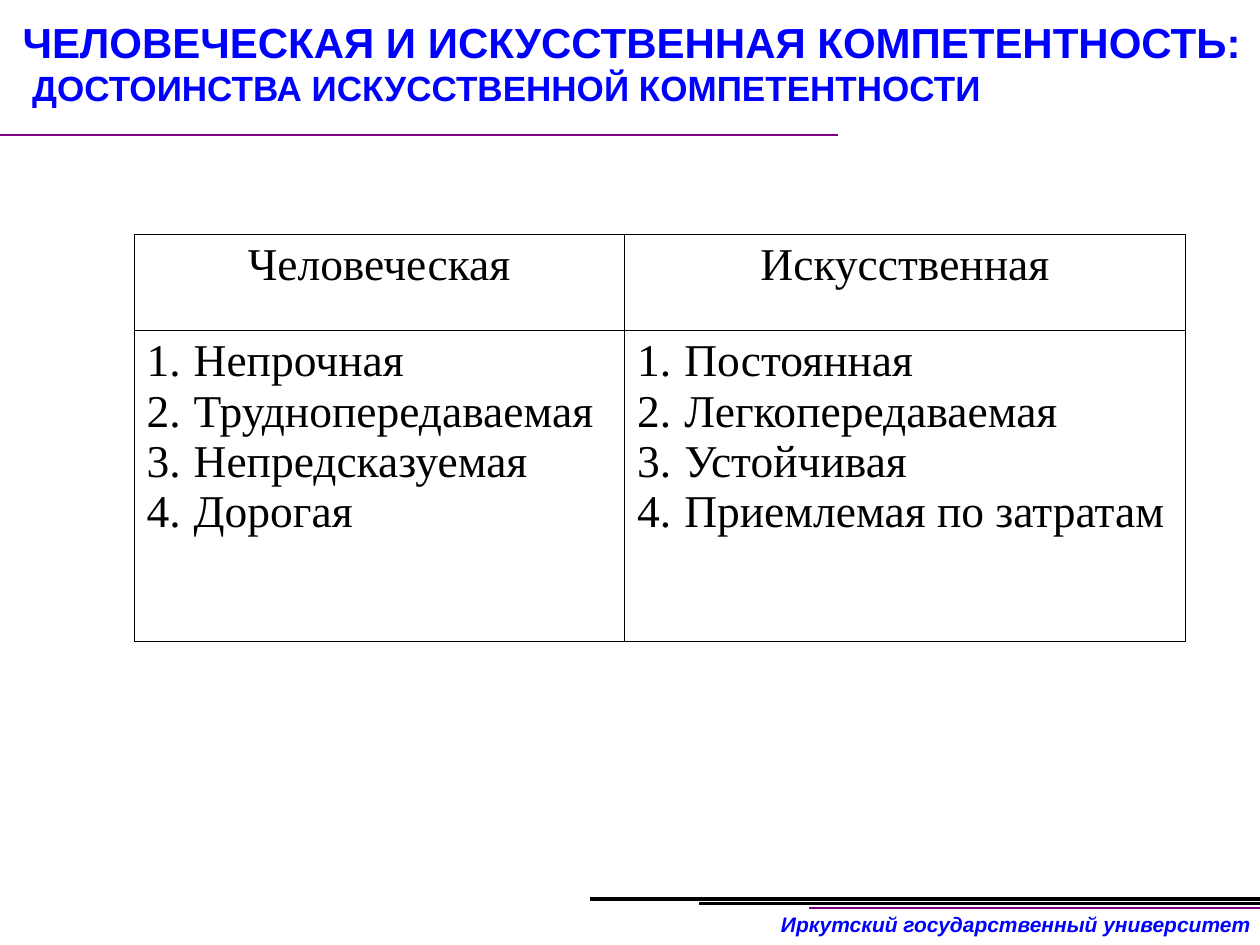
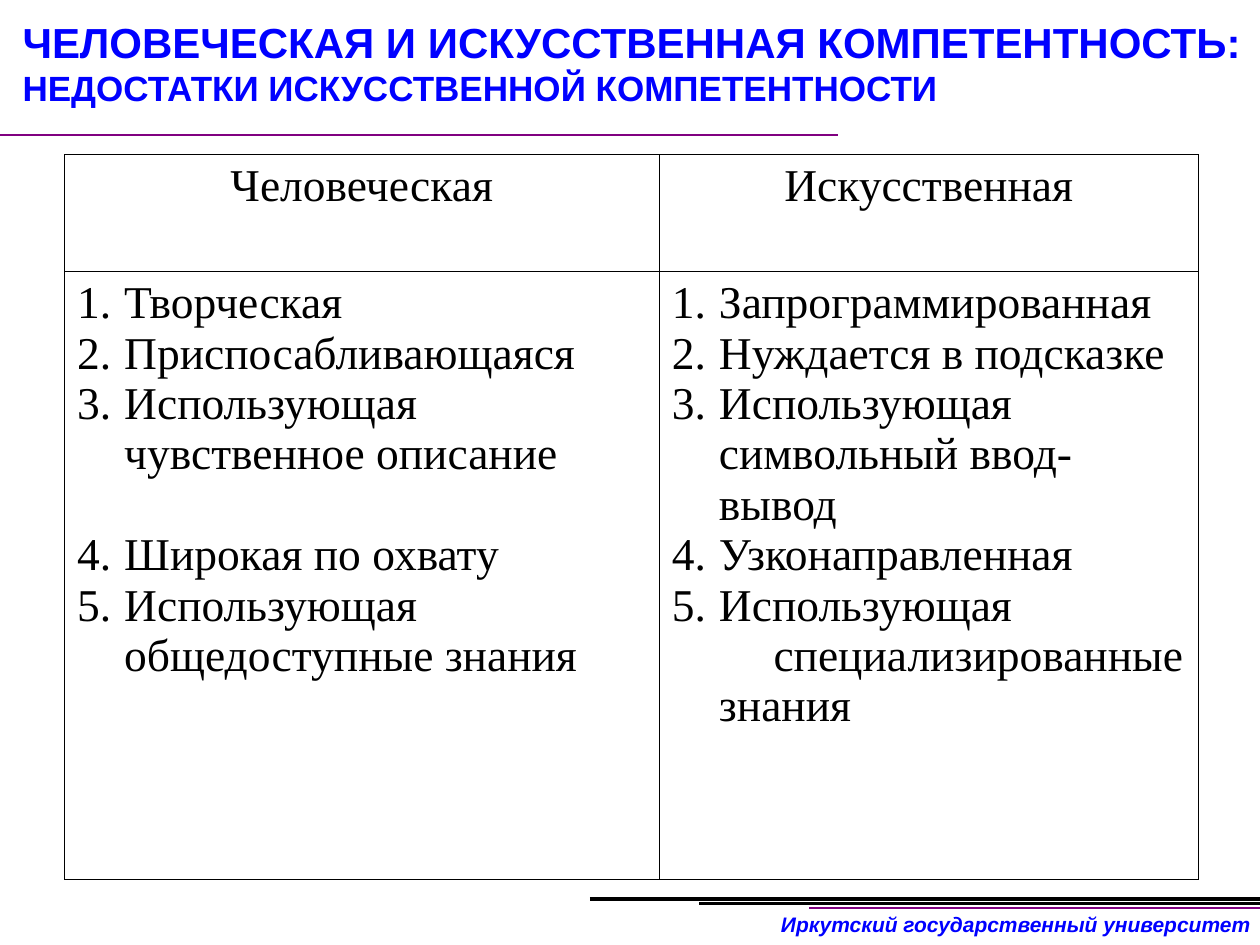
from typing import NamedTuple

from lxml.etree import SubElement
from pptx import Presentation
from pptx.dml.color import RGBColor
from pptx.enum.shapes import MSO_CONNECTOR as Connector
from pptx.enum.text import MSO_ANCHOR as Anchor, MSO_AUTO_SIZE as AutoSize, PP_ALIGN as Align
from pptx.oxml.ns import qn
from pptx.util import Cm, Pt

BLUE, PURPLE, BLACK = "0000FF", "800080", "000000"
HEADING_FONT, TABLE_FONT = "Arial", "Times New Roman"
PAGE_WIDTH, PAGE_HEIGHT = 25.4, 19.05
TITLE_TOP_LINE = "ЧЕЛОВЕЧЕСКАЯ И ИСКУССТВЕННАЯ КОМПЕТЕНТНОСТЬ:"
UNIVERSITY = "Иркутский государственный университет"
COLUMN_HEADS = ("Человеческая", "Искусственная")
TABLE_SIZE = 26
LIST_INDENT = 0.95


class Rule(NamedTuple):
    left: float
    right: float
    top: float
    color: str
    weight: float


class Item(NamedTuple):
    text: str
    numbered: bool = True
    first_indent: float = -LIST_INDENT
    space_before: float = 0


class Comparison(NamedTuple):
    subtitle: str
    left: float
    top: float
    widths: tuple[float, float]
    heights: tuple[float, float]
    lists: tuple[list[Item], list[Item]]


RULES = [
    Rule(0, 16.89, 2.72, PURPLE, 1),
    Rule(16.31, PAGE_WIDTH, 18.31, PURPLE, 1),
    Rule(14.1, PAGE_WIDTH, 18.21, BLACK, 1.5),
    Rule(11.89, PAGE_WIDTH, 18.13, BLACK, 2.25),
]

COMPARISONS = [
    Comparison(
        " ДОСТОИНСТВА ИСКУССТВЕННОЙ КОМПЕТЕНТНОСТИ",
        2.7, 4.72, (9.89, 11.31), (1.93, 6.27),
        (
            [Item("Непрочная"), Item("Труднопередаваемая"),
             Item("Непредсказуемая"), Item("Дорогая")],
            [Item("Постоянная"), Item("Легкопередаваемая"),
             Item("Устойчивая"), Item("Приемлемая по затратам")],
        ),
    ),
    Comparison(
        "НЕДОСТАТКИ ИСКУССТВЕННОЙ КОМПЕТЕНТНОСТИ",
        1.3, 3.12, (11.99, 10.87), (2.36, 12.24),
        (
            [Item("Творческая"), Item("Приспосабливающаяся"),
             Item("Использующая чувственное описание"),
             Item("Широкая по охвату", space_before=28.8),
             Item("Использующая общедоступные знания")],
            [Item("Запрограммированная"), Item("Нуждается в подсказке"),
             Item("Использующая символьный ввод-\vвывод"),
             Item("Узконаправленная"), Item("Использующая"),
             Item("специализированные знания", numbered=False, first_indent=1.1)],
        ),
    ),
]


def rgb(color: str) -> RGBColor:
    return RGBColor.from_string(color)


def style_runs(para, font: str, size: float, color: str, bold=False, italic=False) -> None:
    for span in para.runs:
        span.font.name = font
        span.font.size = Pt(size)
        span.font.color.rgb = rgb(color)
        span.font.bold = bold
        span.font.italic = italic


def draw_rule(page, rule: Rule) -> None:
    line = page.shapes.add_connector(
        Connector.STRAIGHT, Cm(rule.left), Cm(rule.top), Cm(rule.right), Cm(rule.top))
    line.line.color.rgb = rgb(rule.color)
    line.line.width = Pt(rule.weight)
    SubElement(line._element.spPr, qn("a:effectLst"))


def draw_frame(page) -> None:
    """Draw the rules and the footer that every slide carries."""
    for rule in RULES:
        draw_rule(page, rule)
    footer = page.shapes.add_textbox(Cm(15.44), Cm(18.26), Cm(10.03), Cm(0.76))
    footer.text_frame.word_wrap = False
    footer.text_frame.text = UNIVERSITY
    para = footer.text_frame.paragraphs[0]
    para.alignment = Align.RIGHT
    style_runs(para, HEADING_FONT, 12, BLUE, bold=True, italic=True)


def fill_title(page, subtitle: str) -> None:
    title = page.shapes.title
    title.left, title.top, title.width, title.height = Cm(0.2), Cm(0.13), Cm(25.2), Cm(1.55)
    frame = title.text_frame
    frame.auto_size = AutoSize.NONE
    frame.vertical_anchor = Anchor.TOP
    frame.margin_top = Cm(0.2)
    para = frame.paragraphs[0]
    para.text = f"{TITLE_TOP_LINE}\v{subtitle}"
    para.alignment = Align.LEFT
    style_runs(para, HEADING_FONT, 24, BLUE, bold=True)
    para.runs[1].font.size = Pt(20)


def format_cell(cell) -> None:
    """Give the cell thin black borders and no fill."""
    properties = cell._tc.get_or_add_tcPr()
    for side in ("lnL", "lnR", "lnT", "lnB"):
        border = SubElement(properties, qn(f"a:{side}"), w=str(Pt(0.45)))
        paint = SubElement(border, qn("a:solidFill"))
        SubElement(paint, qn("a:srgbClr"), val=BLACK)
    cell.fill.background()


def fill_list(cell, items: list[Item]) -> None:
    frame = cell.text_frame
    frame.text = "\n".join(item.text for item in items)
    for para, item in zip(frame.paragraphs, items):
        properties = para._p.get_or_add_pPr()
        properties.set("marL", str(Cm(LIST_INDENT)))
        properties.set("indent", str(Cm(item.first_indent)))
        if item.numbered:
            SubElement(properties, qn("a:buAutoNum"), type="arabicPeriod")
        if item.space_before:
            para.space_before = Pt(item.space_before)
        style_runs(para, TABLE_FONT, TABLE_SIZE, BLACK)


def draw_table(page, comparison: Comparison) -> None:
    table = page.shapes.add_table(
        2, 2, Cm(comparison.left), Cm(comparison.top),
        Cm(sum(comparison.widths)), Cm(sum(comparison.heights))).table
    table.first_row = table.horz_banding = False
    for row, height in zip(table.rows, comparison.heights):
        row.height = Cm(height)
    for index, (head, items) in enumerate(zip(COLUMN_HEADS, comparison.lists)):
        table.columns[index].width = Cm(comparison.widths[index])
        head_cell, list_cell = table.cell(0, index), table.cell(1, index)
        format_cell(head_cell)
        format_cell(list_cell)
        head_cell.text_frame.text = head
        para = head_cell.text_frame.paragraphs[0]
        para.alignment = Align.CENTER
        style_runs(para, TABLE_FONT, TABLE_SIZE, BLACK)
        fill_list(list_cell, items)


def main() -> None:
    deck = Presentation()
    deck.slide_width, deck.slide_height = Cm(PAGE_WIDTH), Cm(PAGE_HEIGHT)
    title_only = deck.slide_layouts[5]
    for comparison in COMPARISONS:
        page = deck.slides.add_slide(title_only)
        draw_frame(page)
        fill_title(page, comparison.subtitle)
        draw_table(page, comparison)
    deck.save("out.pptx")


if __name__ == "__main__":
    main()
